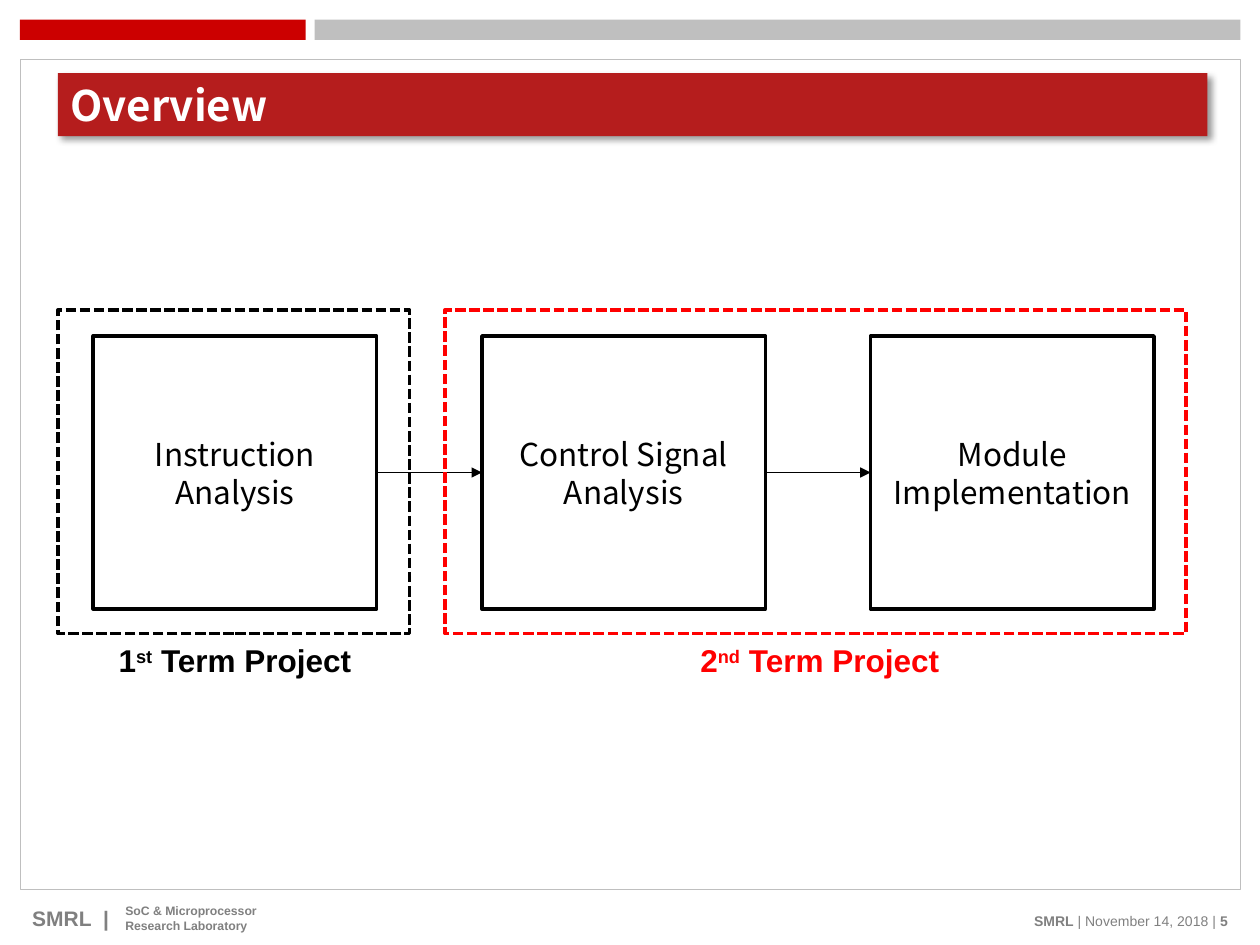
from lxml.etree import SubElement
from pptx import Presentation
from pptx.dml.color import RGBColor
from pptx.enum.dml import MSO_LINE
from pptx.enum.shapes import MSO_CONNECTOR, MSO_SHAPE
from pptx.enum.text import MSO_ANCHOR, PP_ALIGN
from pptx.oxml import parse_xml
from pptx.oxml.ns import nsdecls, qn
from pptx.util import Pt

BLACK, WHITE, RED = "000000", "FFFFFF", "FF0000"
GREY, SILVER = "808080", "BFBFBF"
SANS, CJK = "Arial", "Noto Sans CJK KR"
SHADOW = (f'<a:effectLst {nsdecls("a")}><a:outerShdw blurRad="50800" dist="38100" dir="2700000" '
          'algn="tl" rotWithShape="0"><a:srgbClr val="000000"><a:alpha val="40000"/></a:srgbClr>'
          '</a:outerShdw></a:effectLst>')


def colour(value):
    return RGBColor.from_string(value)


def write(frame, paragraphs, size, font=SANS, color=BLACK, bold=False,
          align=PP_ALIGN.LEFT, anchor=MSO_ANCHOR.TOP):
    """Fill a text frame; a paragraph is a list of (text, run options) pairs."""
    frame.word_wrap = True
    frame.vertical_anchor = anchor
    for index, runs in enumerate(paragraphs):
        para = frame.add_paragraph() if index else frame.paragraphs[0]
        para.alignment = align
        for text, options in runs:
            span = para.add_run()
            span.text = text
            span.font.size = Pt(size)
            span.font.name = font
            span.font.bold = options.get("bold", bold)
            span.font.color.rgb = colour(color)
            properties = span.font._element
            SubElement(properties, qn("a:ea")).set("typeface", font)
            if options.get("raised"):
                properties.set("baseline", "30000")


def add_text(page, box, paragraphs, **style):
    shape = page.shapes.add_textbox(*map(Pt, box))
    write(shape.text_frame, paragraphs, **style)


def add_box(page, box, fill=None, line=None, width=2, dash=None):
    shape = page.shapes.add_shape(MSO_SHAPE.RECTANGLE, *map(Pt, box))
    shape.shadow.inherit = False
    if fill:
        shape.fill.solid()
        shape.fill.fore_color.rgb = colour(fill)
    else:
        shape.fill.background()
    if line:
        shape.line.color.rgb = colour(line)
        shape.line.width = Pt(width)
        if dash:
            shape.line.dash_style = dash
    else:
        shape.line.fill.background()
    return shape


def add_arrow(page, start, end, y):
    arrow = page.shapes.add_connector(MSO_CONNECTOR.STRAIGHT, Pt(start), Pt(y), Pt(end), Pt(y))
    arrow.line.color.rgb = colour(BLACK)
    arrow.line.width = Pt(0.75)
    SubElement(arrow.line._get_or_add_ln(), qn("a:tailEnd")).set("type", "triangle")
    SubElement(arrow._element.spPr, qn("a:effectLst"))


def add_page_frame(page, left, top, width, height):
    add_box(page, (left + 168.5, top, width - 168.5, 11.5), fill=SILVER)
    add_box(page, (left, top, 163.3, 11.5), fill="CC0000")
    add_box(page, (left, top + 22.5, width, height - 22.5), fill=WHITE, line=SILVER, width=0.25)


def add_footer(page, left, top, width):
    style = dict(color=GREY, bold=True)
    add_text(page, (left + width - 235.5, top + 5, 235.5, 18),
             [[("SMRL ", {}), ("| November 14, 2018 | ", {"bold": False}), ("5", {})]],
             size=8, align=PP_ALIGN.RIGHT, **style)
    # A no-break space holds the wider gap before the bar.
    add_text(page, (left, top + 1.4, 60, 22.3), [[("SMRL\u00a0 |", {})]], size=12, **style)
    add_text(page, (left + 53.3, top, 124.6, 22.3),
             [[("SoC & Microprocessor", {})], [("Research Laboratory", {})]], size=7, **style)


def add_title(page, text, box):
    title = page.shapes.title
    title.left, title.top, title.width, title.height = map(Pt, box)
    title.fill.solid()
    title.fill.fore_color.rgb = colour("B51D1D")
    title.element.spPr.append(parse_xml(SHADOW))
    write(title.text_frame, [[(text, {})]], size=24, font=CJK, color=WHITE, bold=True,
          anchor=MSO_ANCHOR.MIDDLE)
    title.element.getparent().append(title.element)  # in front of the page frame


def add_flow(page, left, top, steps):
    width, height, pitch = 162, 156, 222.1
    for index, step in enumerate(steps):
        x = left + index * pitch
        shape = add_box(page, (x, top, width, height), line=BLACK)
        write(shape.text_frame, [[(step, {})]], size=18, font=CJK,
              align=PP_ALIGN.CENTER, anchor=MSO_ANCHOR.MIDDLE)
        if index:
            add_arrow(page, x - pitch + width, x, top + height / 2)


def add_term(page, box, label_box, number, suffix, color):
    """Dashed outline round the steps of one term, with its label below."""
    add_text(page, label_box,
             [[(number, {}), (suffix, {"raised": True}), (" Term Project", {})]],
             size=18, color=color, bold=True, align=PP_ALIGN.CENTER)
    add_box(page, box, line=color, dash=MSO_LINE.SQUARE_DOT)


def main():
    deck = Presentation()
    deck.slide_width, deck.slide_height = Pt(720), Pt(540)
    page = deck.slides.add_slide(deck.slide_layouts[5])
    add_page_frame(page, 11.3, 11.3, 697.5, 497)
    add_footer(page, 11.3, 512.7, 697.5)
    add_title(page, "Overview", (33.1, 41.8, 656.9, 36))
    add_flow(page, 53.3, 192,
             ["Instruction Analysis", "Control Signal Analysis", "Module Implementation"])
    add_term(page, (33.1, 177.1, 200.9, 185), (59, 362.9, 150.5, 29), "1", "st", BLACK)
    add_term(page, (254.2, 177.1, 423.4, 185), (387.4, 362.9, 162, 29), "2", "nd", RED)
    deck.save("out.pptx")


if __name__ == "__main__":
    main()
